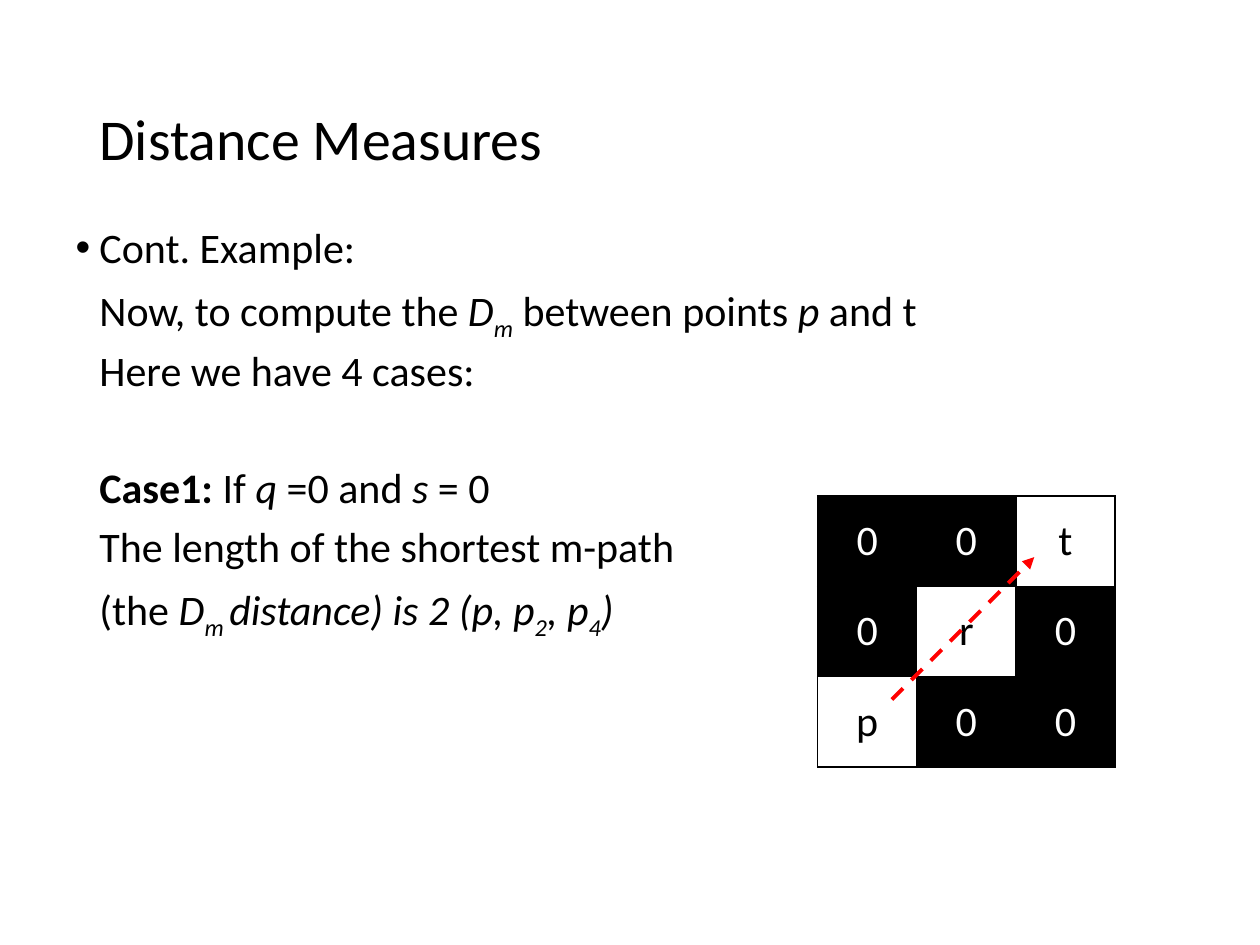
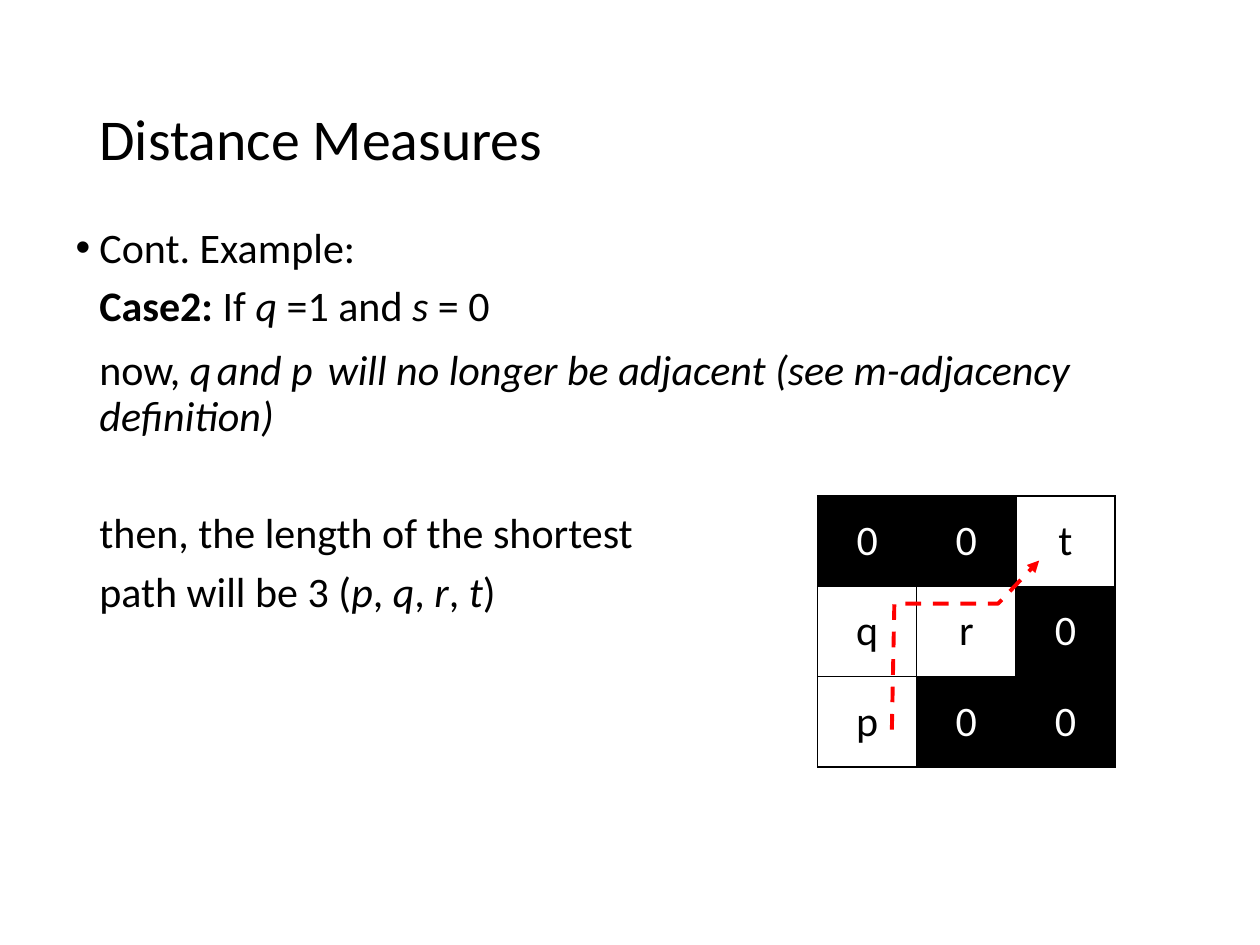
from dataclasses import dataclass

from lxml import etree
from pptx import Presentation
from pptx.dml.color import RGBColor
from pptx.enum.dml import MSO_LINE
from pptx.enum.shapes import MSO_CONNECTOR
from pptx.enum.text import MSO_ANCHOR, MSO_AUTO_SIZE, PP_ALIGN
from pptx.oxml.ns import qn
from pptx.util import Cm, Pt

LEFT, CENTER = PP_ALIGN.LEFT, PP_ALIGN.CENTER
MIDDLE, TOP = MSO_ANCHOR.MIDDLE, MSO_ANCHOR.TOP
NO_FIT = MSO_AUTO_SIZE.NONE
DASH = MSO_LINE.DASH
STRAIGHT = MSO_CONNECTOR.STRAIGHT


@dataclass(frozen=True)
class Theme:
    font: str = "Calibri"
    black: RGBColor = RGBColor(0, 0, 0)
    white: RGBColor = RGBColor(255, 255, 255)
    path_red: RGBColor = RGBColor(255, 0, 0)
    title_size: Pt = Pt(33)
    text_size: Pt = Pt(24)
    line_spacing: float = 0.9
    paragraph_gap: Pt = Pt(7.5)
    section_gap: Pt = Pt(41)
    grid_width: Pt = Pt(1)
    path_width: Pt = Pt(2.25)


THEME = Theme()
HANGING = Cm(0.48)
GRID_LEFT, GRID_TOP = Cm(16.48), Cm(10)
CELL_WIDTH, CELL_HEIGHT = Cm(2), Cm(1.82)

# Each run is (text, marks): b = bold, i = italic, s = subscript.
# Each paragraph is (starts a new section, runs); the first one has the bullet.
CASES = [
    {
        "body_height": Cm(12.9),
        "paragraphs": [
            (False, [("Cont. Example:", "")]),
            (False, [("Now, to compute the ", ""), ("D", "i"), ("m", "is"),
                     (" between points ", ""), ("p", "i"), (" and t", "")]),
            (False, [("Here we have 4 cases:", "")]),
            (True, [("Case1:", "b"), (" If ", ""), ("q", "i"), (" =0 and ", ""),
                    ("s", "i"), (" = 0", "")]),
            (False, [("The length of the shortest m-path", "")]),
            (False, [("(the ", ""), ("D", "i"), ("m ", "is"),
                     ("distance) is 2 (p, p", "i"), ("2", "is"), (", p", "i"),
                     ("4", "is"), (")", "i")]),
        ],
        "pixels": ["00t", "0r0", "p00"],
        "path": [(17.98, 14.1), (20.85, 11.23)],
    },
    {
        "body_height": Cm(11.86),
        "paragraphs": [
            (False, [("Cont. Example:", "")]),
            (False, [("Case2:", "b"), (" If ", ""), ("q", "i"), (" =1 and ", ""),
                     ("s", "i"), (" = 0", "")]),
            (False, [("now, ", ""), ("q", "i"), (" ", "is"), ("and p", "i"),
                     (" ", "is"),
                     (" will no longer be adjacent (see m-adjacency definition)", "i")]),
            (True, [("then, the length of the shortest", "")]),
            (False, [("path will be 3 (", ""), ("p", "i"), (", ", ""), ("q", "i"),
                     (", ", ""), ("r", "i"), (", ", ""), ("t", "i"), (")", "")]),
        ],
        "pixels": ["00t", "qr0", "p00"],
        "path": [(17.98, 14.71), (18.03, 12.17), (20.12, 12.17), (20.95, 11.3)],
    },
]


def add_run(paragraph, text, size, color, marks=""):
    run = paragraph.add_run()
    run.text = text
    run.font.name = THEME.font
    run.font.size = size
    run.font.color.rgb = color
    run.font.bold = "b" in marks
    run.font.italic = "i" in marks
    if "s" in marks:
        run.font._element.set("baseline", "-25000")


def add_borders(cell):
    properties = cell._tc.get_or_add_tcPr()
    for side in ("a:lnL", "a:lnR", "a:lnT", "a:lnB"):
        border = etree.SubElement(properties, qn(side), w=str(THEME.grid_width))
        fill = etree.SubElement(border, qn("a:solidFill"))
        etree.SubElement(fill, qn("a:srgbClr"), val=str(THEME.black))


prs = Presentation()
prs.slide_width, prs.slide_height = Cm(25.4), Cm(19.05)

for case in CASES:
    slide = prs.slides.add_slide(prs.slide_layouts[1])

    title = slide.shapes.title
    title.left, title.top, title.width, title.height = Cm(1.75), Cm(1.02), Cm(21.9), Cm(3.68)
    title.text_frame.auto_size = NO_FIT
    title.text_frame.vertical_anchor = MIDDLE
    heading = title.text_frame.paragraphs[0]
    heading.alignment = LEFT
    heading.line_spacing = THEME.line_spacing
    add_run(heading, "Distance Measures", THEME.title_size, THEME.black)

    body = slide.placeholders[1]
    body.left, body.top, body.width = Cm(1.27), Cm(4.45), Cm(22.86)
    body.height = case["body_height"]
    explanation = body.text_frame
    explanation.auto_size = NO_FIT
    explanation.vertical_anchor = TOP
    for index, (new_section, runs) in enumerate(case["paragraphs"]):
        first = index == 0
        paragraph = explanation.paragraphs[0] if first else explanation.add_paragraph()
        properties = paragraph._p.get_or_add_pPr()
        properties.set("marL", str(HANGING))
        properties.set("indent", str(-HANGING if first else 0))
        if first:
            etree.SubElement(properties, qn("a:buFont"), typeface="Arial")
            etree.SubElement(properties, qn("a:buChar"), char="•")
        else:
            etree.SubElement(properties, qn("a:buNone"))
        paragraph.line_spacing = THEME.line_spacing
        gap = THEME.section_gap if new_section else THEME.paragraph_gap
        paragraph.space_before = Pt(0) if first else gap
        for text, marks in runs:
            add_run(paragraph, text, THEME.text_size, THEME.black, marks)

    pixels = case["pixels"]
    rows, columns = len(pixels), len(pixels[0])
    grid = slide.shapes.add_table(rows, columns, GRID_LEFT, GRID_TOP,
                                  CELL_WIDTH * columns, CELL_HEIGHT * rows).table
    grid.first_row = grid.horz_banding = False
    for row, labels in enumerate(pixels):
        for column, label in enumerate(labels):
            cell = grid.cell(row, column)
            background, ink = THEME.white, THEME.black
            if label == "0":
                background, ink = ink, background
            add_borders(cell)
            cell.fill.solid()
            cell.fill.fore_color.rgb = background
            cell.vertical_anchor = MIDDLE
            value = cell.text_frame.paragraphs[0]
            value.alignment = CENTER
            add_run(value, label, THEME.text_size, ink)

    points = [(Cm(x), Cm(y)) for x, y in case["path"]]
    if len(points) == 2:
        m_path = slide.shapes.add_connector(STRAIGHT, *points[0], *points[1])
    else:
        outline = slide.shapes.build_freeform(*points[0])
        outline.add_line_segments(points[1:], close=False)
        m_path = outline.convert_to_shape()
        m_path.fill.background()
    m_path.line.color.rgb = THEME.path_red
    m_path.line.width = THEME.path_width
    m_path.line.dash_style = DASH
    etree.SubElement(m_path.line._get_or_add_ln(), qn("a:tailEnd"), type="triangle")
    etree.SubElement(m_path._element.spPr, qn("a:effectLst"))

prs.save("out.pptx")
